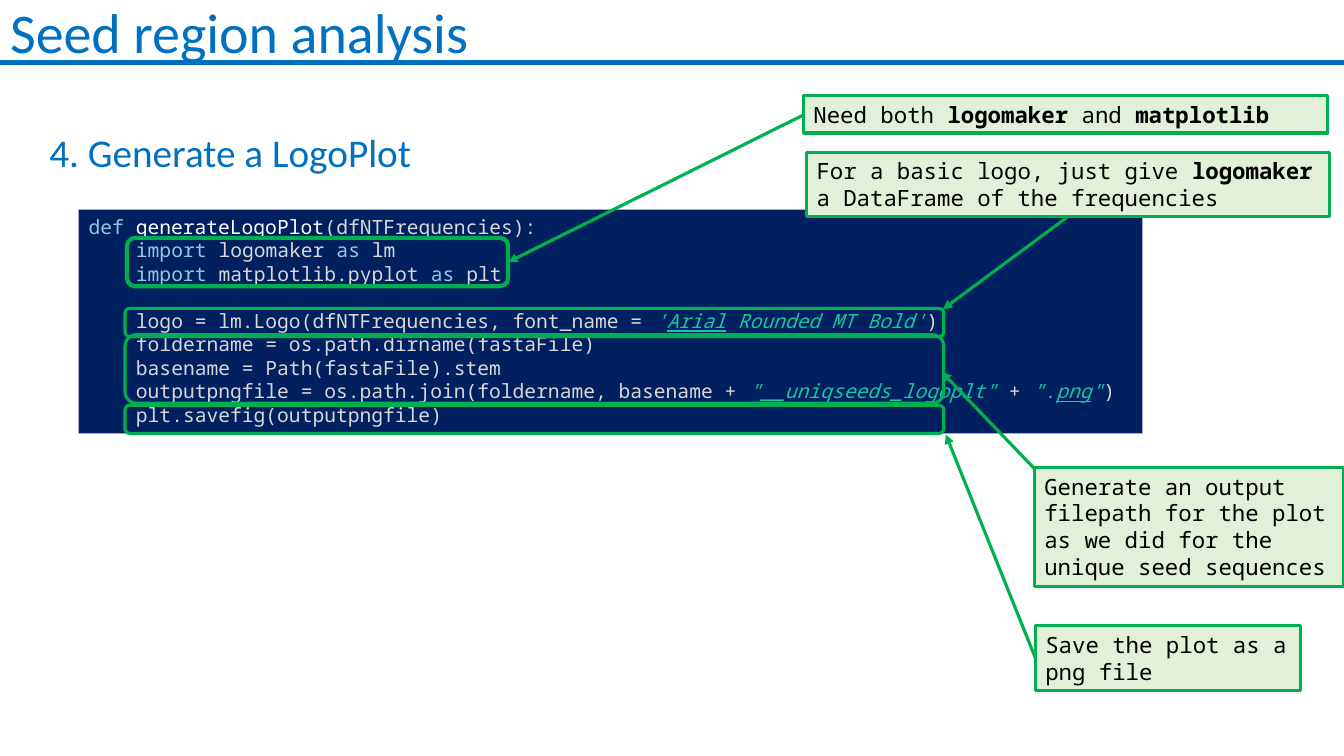
from pptx import Presentation
from pptx import util as u
from pptx.dml.color import RGBColor
from pptx.enum import shapes, text
from pptx.oxml import xmlchemy

COLORS = {
    "blue": "0070C0", "navy": "002060", "green": "00B050", "mint": "E2F0D9",
    "black": "000000", "keyword": "8DCBE2", "name": "FFFFFF",
    "plain": "D8D8D8", "string": "17C6A3",
}
MONO = "Noto Sans Mono"
CODE_SIZE = 14
LINE_PITCH = 16.8
INDENT = u.Inches(0.47)
STRING = {"color": "string", "italic": True}
LINKED = {**STRING, "underline": True}
KEYWORD = {"color": "keyword"}
BOLD = {"bold": True}

CODE = [
    (0, 0, [("def ", KEYWORD), ("generateLogoPlot", {"color": "name"}),
            ("(dfNTFrequencies):", {})]),
    (1, 0, [("import ", KEYWORD), ("logomaker ", {}), ("as ", KEYWORD), ("lm", {})]),
    (1, 0, [("import ", KEYWORD), ("matplotlib.pyplot ", {}), ("as ", KEYWORD), ("plt", {})]),
    (1, LINE_PITCH, [("logo = lm.Logo(dfNTFrequencies, font_name = ", {}), ("'", STRING),
                     ("Arial", LINKED), (" Rounded MT Bold'", STRING), (")", {})]),
    (1, 0, [("foldername = os.path.dirname(fastaFile)", {})]),
    (1, 0, [("basename = Path(fastaFile).stem", {})]),
    (1, 0, [("outputpngfile = os.path.join(foldername, basename + ", {}),
            ("\"__uniqseeds_logoplt\"", STRING), (" + ", {}), ("\".", STRING),
            ("png", LINKED), ("\"", STRING), (")", {})]),
    (1, 0, [("plt.savefig(outputpngfile)", {})]),
]

HIGHLIGHTS = [
    ((1.26, 2.36, 3.78, 0.48), 3),
    ((1.24, 3.06, 8.12, 0.28), 2.25),
    ((1.24, 3.32, 8.12, 0.68), 2.25),
    ((1.24, 4.02, 8.12, 0.28), 2.25),
]

CALLOUTS = [
    ((7.97, 0.95, 5.2, 0.37), (7.97, 1.14), (5.04, 2.6),
     [("Need both ", {}), ("logomaker", BOLD), (" and ", {}), ("matplotlib", BOLD)]),
    ((8, 1.51, 5.19, 0.64), (10.59, 2.15), (9.35, 3.07),
     [("For a basic logo, just give ", {}), ("logomaker", BOLD),
      (" a DataFrame of the frequencies", {})]),
    ((10.26, 4.64, 3.07, 1.18), (10.27, 4.66), (9.34, 3.69),
     [("Generate an output filepath for the plot as we did for the unique seed sequences", {})]),
    ((10.27, 6.21, 2.63, 0.64), (10.27, 6.53), (9.38, 4.31),
     [("Save the plot as a png file", {})]),
]


def rgb(color):
    return RGBColor.from_string(COLORS[color])


def set_all(target, values):
    for name, value in values.items():
        setattr(target, name, value)


def add_spans(para, spans, font, size, color):
    for words, extra in spans:
        look = {"color": color, **extra}
        span = para.add_run()
        span.text = words
        span.font.color.rgb = rgb(look.pop("color"))
        set_all(span.font, {"name": font, "size": u.Pt(size), **look})


def fill_placeholder(holder, place, words, size, spacing):
    set_all(holder, dict(zip(("left", "top", "width", "height"), map(u.Inches, place))))
    set_all(holder.text_frame, {"auto_size": text.MSO_AUTO_SIZE.NONE, "word_wrap": True,
                                "vertical_anchor": text.MSO_ANCHOR.MIDDLE})
    para = holder.text_frame.paragraphs[0]
    set_all(para, {"alignment": text.PP_ALIGN.LEFT, "space_before": u.Pt(0),
                   "line_spacing": spacing})
    properties = para._p.get_or_add_pPr()
    properties.set("marL", "0")
    properties.set("indent", "0")
    properties.append(xmlchemy.OxmlElement("a:buNone"))
    add_spans(para, [(words, {})], "Calibri", size, "blue")


def add_box(page, kind, place, fill=None, line=None, weight=2.25):
    box = page.shapes.add_shape(kind, *map(u.Inches, place))
    box.shadow.inherit = False
    if fill:
        box.fill.solid()
        box.fill.fore_color.rgb = rgb(fill)
    else:
        box.fill.background()
    if line:
        box.line.color.rgb = rgb(line)
        box.line.width = u.Pt(weight)
    else:
        box.line.fill.background()
    set_all(box.text_frame, {"word_wrap": True, "vertical_anchor": text.MSO_ANCHOR.TOP})
    return box


def add_line(page, start, end, color, weight, arrow=False):
    points = map(u.Inches, (*start, *end))
    line = page.shapes.add_connector(shapes.MSO_CONNECTOR.STRAIGHT, *points)
    line.line.color.rgb = rgb(color)
    line.line.width = u.Pt(weight)
    if arrow:
        head = xmlchemy.OxmlElement("a:tailEnd")
        head.set("type", "triangle")
        line.line._get_or_add_ln().append(head)
    line._element.spPr.append(xmlchemy.OxmlElement("a:effectLst"))


def add_code(page):
    box = add_box(page, shapes.MSO_SHAPE.RECTANGLE, (0.78, 2.08, 10.55, 2.22), fill="navy")
    frame = box.text_frame
    for number, (level, gap, spans) in enumerate(CODE):
        para = frame.add_paragraph() if number else frame.paragraphs[0]
        set_all(para, {"alignment": text.PP_ALIGN.LEFT, "space_before": u.Pt(gap)})
        para._p.get_or_add_pPr().set("marL", str(level * INDENT))
        add_spans(para, spans, MONO, CODE_SIZE, "plain")


def add_callout(page, place, start, end, spans):
    add_line(page, start, end, "green", 2.25, arrow=True)
    box = add_box(page, shapes.MSO_SHAPE.RECTANGLE, place, "mint", "green")
    para = box.text_frame.paragraphs[0]
    set_all(para, {"alignment": text.PP_ALIGN.LEFT, "space_after": u.Pt(6)})
    add_spans(para, spans, MONO, 16, "black")


def main():
    deck = Presentation()
    set_all(deck, {"slide_width": u.Inches(13.33), "slide_height": u.Inches(7.5)})
    page = deck.slides.add_slide(deck.slide_layouts[1])
    title, heading = page.placeholders
    fill_placeholder(title, (0, 0, 13.33, 0.7), "Seed region analysis", 40, 0.9)
    fill_placeholder(heading, (0.39, 1.22, 7.48, 0.57), "4. Generate a LogoPlot", 28, 1.0)
    add_line(page, (0, 0.62), (13.33, 0.62), "blue", 3)
    add_code(page)
    for place, weight in HIGHLIGHTS:
        add_box(page, shapes.MSO_SHAPE.ROUNDED_RECTANGLE, place, line="green", weight=weight)
    for callout in CALLOUTS:
        add_callout(page, *callout)
    deck.save("out.pptx")


main()
